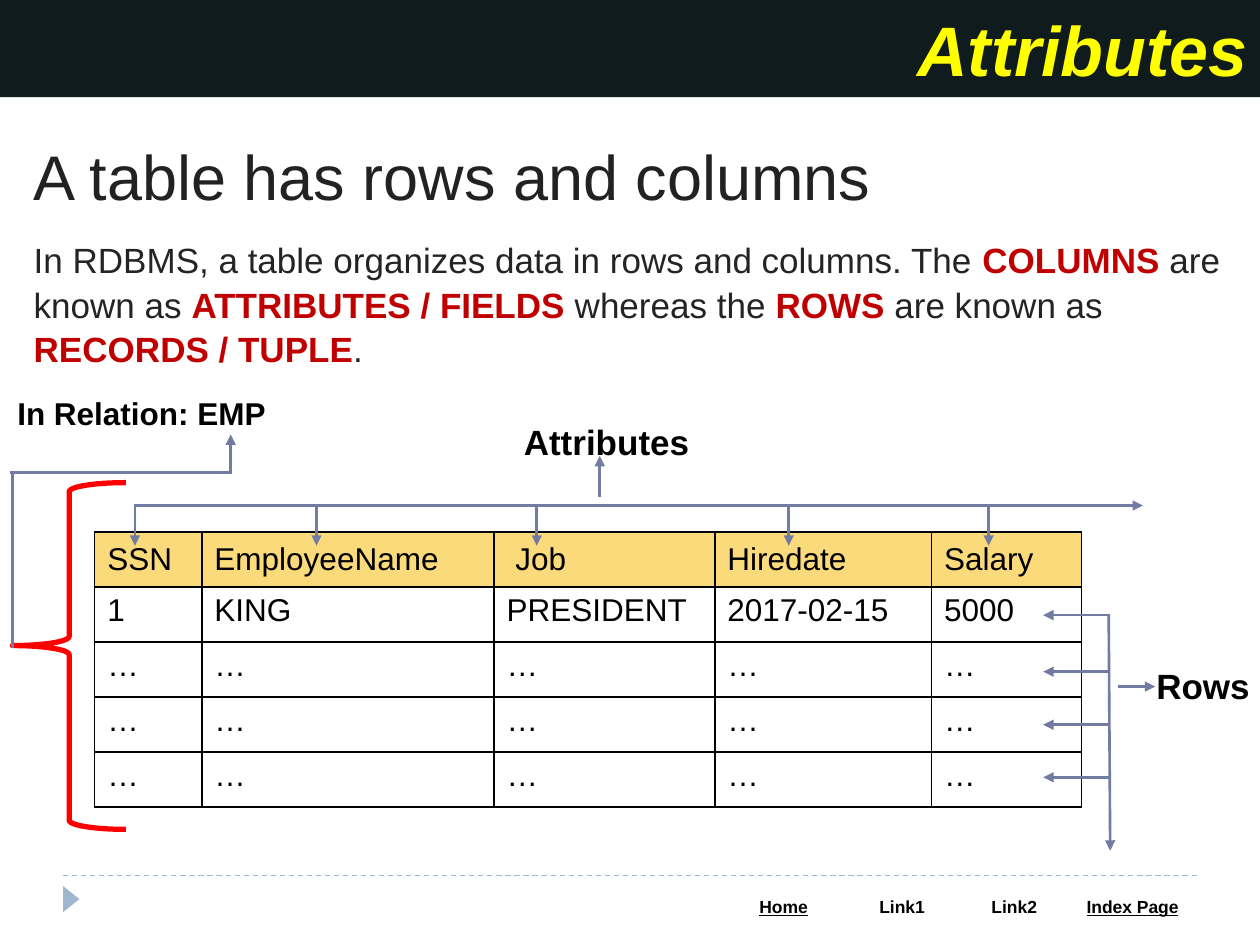
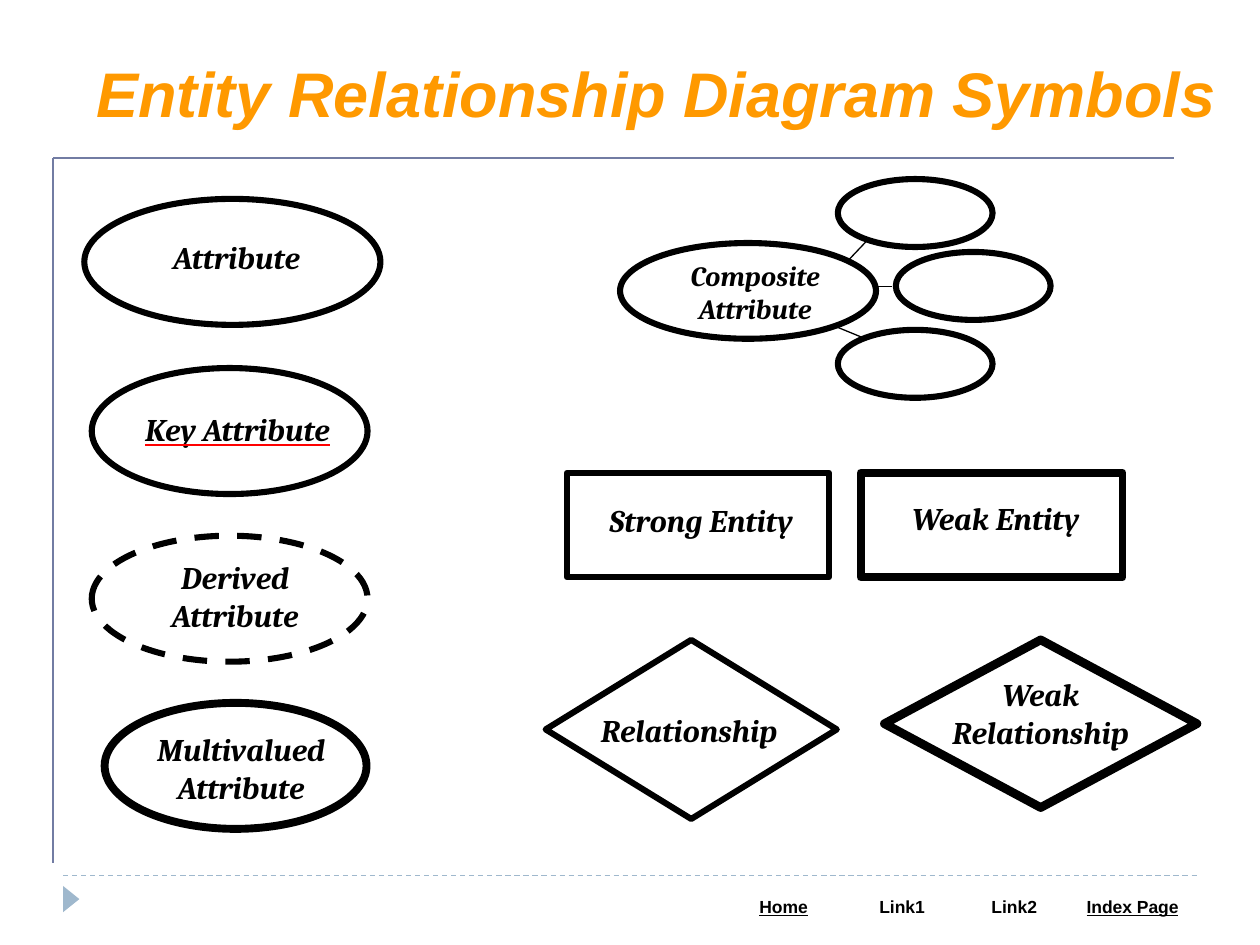
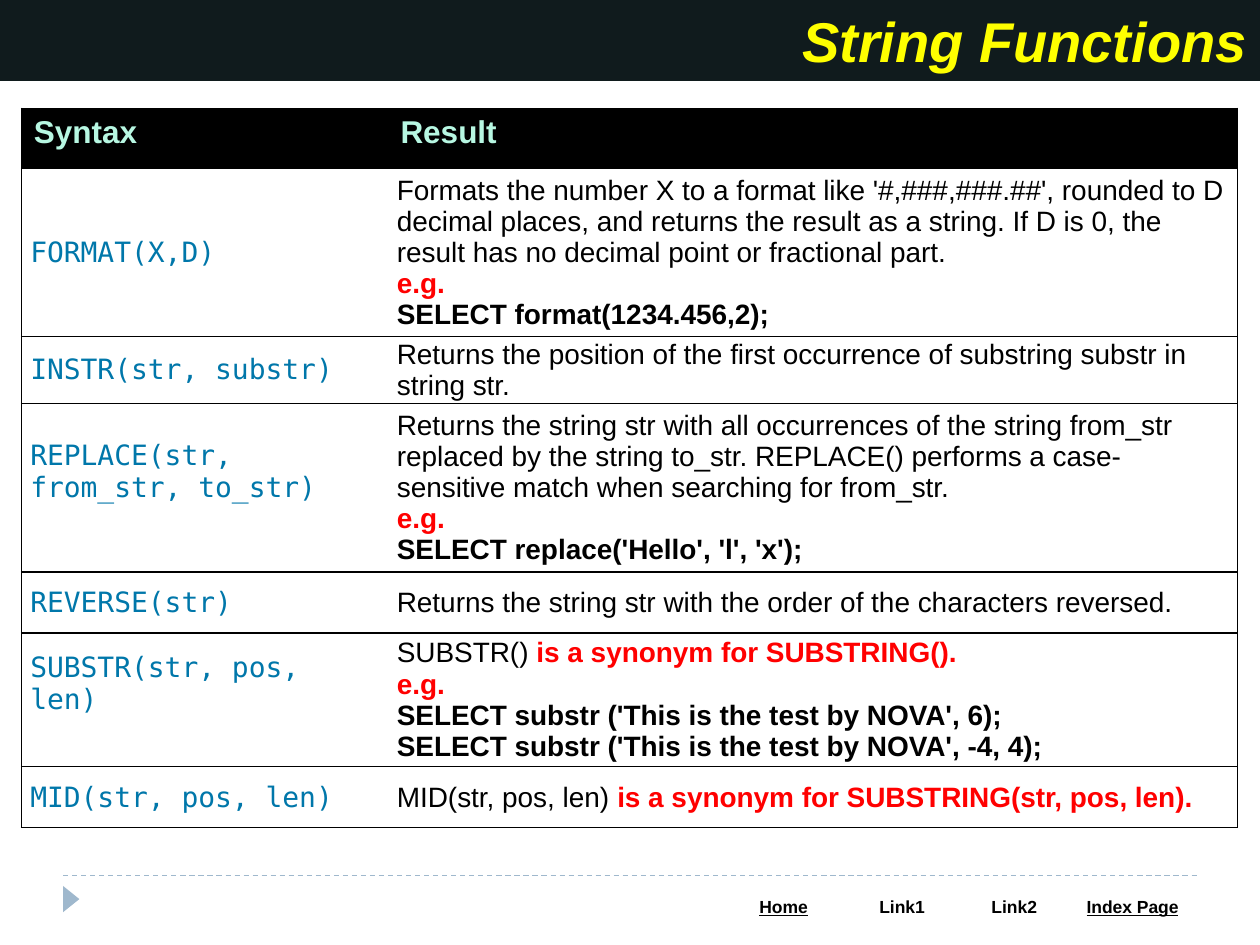
"""Build three slides on relational tables, ER symbols and string functions."""
from dataclasses import dataclass, replace
from typing import NamedTuple, Optional

from lxml import etree
from pptx import Presentation
from pptx import util as u
from pptx.dml.color import RGBColor
from pptx.enum import dml, shapes, text
from pptx.oxml.ns import qn

BLACK = RGBColor(0x00, 0x00, 0x00)
WHITE = RGBColor(0xFF, 0xFF, 0xFF)
RED = RGBColor(0xFF, 0x00, 0x00)
DARK_RED = RGBColor(0xC0, 0x00, 0x00)
YELLOW = RGBColor(0xFF, 0xFF, 0x00)
ORANGE = RGBColor(0xFF, 0x99, 0x00)
BAND = RGBColor(0x10, 0x1B, 0x1D)
HEADING = RGBColor(0x22, 0x22, 0x22)
BODY = RGBColor(0x22, 0x24, 0x26)
STEEL = RGBColor(0x72, 0x7C, 0xA3)
PALE_BLUE = RGBColor(0x9F, 0xB8, 0xCD)
GOLD = RGBColor(0xFA, 0xDA, 0x7A)
MINT = RGBColor(0xB7, 0xF7, 0xE2)
CODE_BLUE = RGBColor(0x00, 0x77, 0xAA)

LEFT, CENTER, RIGHT = text.PP_ALIGN.LEFT, text.PP_ALIGN.CENTER, text.PP_ALIGN.RIGHT
MIDDLE = text.MSO_ANCHOR.MIDDLE
ELLIPSE = shapes.MSO_SHAPE.OVAL
RECTANGLE = shapes.MSO_SHAPE.RECTANGLE
DECISION = shapes.MSO_SHAPE.FLOWCHART_DECISION
DASH = dml.MSO_LINE.DASH


class Box(NamedTuple):
    """Left, top, width and height in centimetres."""
    left: float
    top: float
    width: float
    height: float

    def lengths(self) -> list:
        """Return the four sides as lengths."""
        return [u.Cm(value) for value in self]


@dataclass(frozen=True)
class Style:
    """Look of a run of text."""
    size: float
    color: RGBColor = BLACK
    bold: bool = False
    italic: bool = False
    underline: Optional[RGBColor] = None
    font: str = "Arial"


class Run(NamedTuple):
    """A piece of text in one style."""
    words: str
    style: Style


class Stroke(NamedTuple):
    """A straight line in centimetres, with an optional arrowhead."""
    x1: float
    y1: float
    x2: float
    y2: float
    arrow: bool = True


@dataclass(frozen=True)
class Symbol:
    """An outlined diagram symbol and its separate label."""
    kind: int
    box: Box
    label: str = ""
    label_box: Optional[Box] = None
    width: float = 3.5
    dash: Optional[int] = None
    size: float = 18
    underline: Optional[RGBColor] = None


FOOTER = Style(10, bold=True)
BOLD_20 = Style(20, bold=True)
BODY_20 = Style(20, BODY)
KEY_20 = Style(20, DARK_RED, bold=True)
CELL_18 = Style(18)
PLAIN = Style(16)
STRONG = Style(16, bold=True)
ALERT = Style(16, RED, bold=True)
CODE = Style(16, CODE_BLUE, font="DejaVu Sans Mono")
EXAMPLE = [Run("e.g.", ALERT)]


def write(frame, paragraphs: list, align=LEFT, space_after: float = 0, spacing: float = 1) -> None:
    """Fill a text frame with paragraphs made of runs."""
    frame.word_wrap = True
    for index, runs in enumerate(paragraphs):
        paragraph = frame.paragraphs[0] if index == 0 else frame.add_paragraph()
        paragraph.alignment = align
        paragraph.space_after = u.Pt(space_after)
        paragraph.line_spacing = spacing
        for words, style in runs:
            run = paragraph.add_run()
            run.text = words
            font = run.font
            font.size, font.name = u.Pt(style.size), style.font
            font.bold, font.italic = style.bold, style.italic
            font.color.rgb = style.color
            if style.underline is not None:
                font.underline = True
                properties = run._r.get_or_add_rPr()
                line_fill = etree.Element(qn("a:uFill"))
                add_solid(line_fill, style.underline)
                properties.find(qn("a:latin")).addprevious(line_fill)


def add_solid(parent, color: RGBColor) -> None:
    """Append a solid fill to an XML element."""
    fill = etree.SubElement(parent, qn("a:solidFill"))
    etree.SubElement(fill, qn("a:srgbClr"), val=str(color))


def add_text(slide, box: Box, runs: list, **layout) -> None:
    """Place a text box with one paragraph."""
    write(slide.shapes.add_textbox(*box.lengths()).text_frame, [runs], **layout)


def add_shape(slide, kind: int, box: Box, fill: Optional[RGBColor] = None,
              line: Optional[RGBColor] = None, width: float = 1, dash: Optional[int] = None):
    """Place a preset shape without a shadow."""
    shape = slide.shapes.add_shape(kind, *box.lengths())
    shape.shadow.inherit = False
    if fill is None:
        shape.fill.background()
    else:
        shape.fill.solid()
        shape.fill.fore_color.rgb = fill
    if line is None:
        shape.line.fill.background()
    else:
        shape.line.color.rgb = line
        shape.line.width = u.Pt(width)
        shape.line.dash_style = dash
    return shape


def add_stroke(slide, stroke: Stroke, color: RGBColor = STEEL, width: float = 1.5,
               dash: Optional[int] = None) -> None:
    """Draw a straight connector."""
    ends = [u.Cm(value) for value in stroke[:4]]
    connector = slide.shapes.add_connector(shapes.MSO_CONNECTOR.STRAIGHT, *ends)
    connector.line.color.rgb = color
    connector.line.width = u.Pt(width)
    connector.line.dash_style = dash
    if stroke.arrow:
        etree.SubElement(connector.line._get_or_add_ln(), qn("a:tailEnd"), type="triangle")
    etree.SubElement(connector._element.spPr, qn("a:effectLst"))


def add_table(slide, left: float, top: float, columns: list, rows: list):
    """Place an unbanded table with the given column widths and row heights."""
    box = Box(left, top, sum(columns), sum(rows))
    table = slide.shapes.add_table(len(rows), len(columns), *box.lengths()).table
    table.first_row = table.horz_banding = False
    for column, width in zip(table.columns, columns):
        column.width = u.Cm(width)
    for row, height in zip(table.rows, rows):
        row.height = u.Cm(height)
    return table


def format_cell(cell, fill: Optional[RGBColor], sides: str, width: float = 1) -> None:
    """Fill a cell and draw borders on the named sides only."""
    if fill is None:
        cell.fill.background()
    else:
        cell.fill.solid()
        cell.fill.fore_color.rgb = fill
    properties = cell._tc.get_or_add_tcPr()
    for index, side in enumerate("LRTB"):
        line = etree.Element(qn(f"a:ln{side}"), w=str(u.Pt(width)))
        if side in sides:
            add_solid(line, BLACK)
        else:
            etree.SubElement(line, qn("a:noFill"))
        properties.insert(index, line)


def add_footer(slide) -> None:
    """Draw the dashed rule, the marker and the navigation row."""
    marker = add_shape(slide, shapes.MSO_SHAPE.ISOSCELES_TRIANGLE, Box(1.17, 17.96, 0.53, 0.33), PALE_BLUE)
    marker.rotation = 90
    add_stroke(slide, Stroke(1.27, 17.65, 24.13, 17.65, False), PALE_BLUE, 0.75, DASH)
    table = add_table(slide, 14.6, 17.98, [2.39, 2.39, 2.13, 2.64], [0.69])
    linked = replace(FOOTER, underline=BLACK)
    entries = [("Home", linked), ("Link1", FOOTER), ("Link2", FOOTER), ("Index Page", linked)]
    for cell, (words, style) in zip(table.rows[0].cells, entries):
        format_cell(cell, WHITE, "")
        write(cell.text_frame, [[Run(words, style)]], CENTER)


def add_band(slide, title: str, height: float, size: float) -> None:
    """Draw the dark title band."""
    band = add_shape(slide, RECTANGLE, Box(0, 0, 25.4, height), BAND)
    band.text_frame.vertical_anchor = MIDDLE
    write(band.text_frame, [[Run(title, Style(size, YELLOW, True, True))]], RIGHT)


def build_attributes(slide) -> None:
    """Show a table with its rows and columns marked."""
    add_text(slide, Box(0.43, 2.64, 24.56, 1.8), [Run("A table has rows and columns", Style(36, HEADING))])
    add_band(slide, "Attributes", 1.96, 40)
    add_text(slide, Box(0.43, 4.65, 24.56, 2.82), [
        Run("In RDBMS, a table organizes data in rows and columns. The ", BODY_20),
        Run("COLUMNS ", KEY_20),
        Run("are known as ", BODY_20),
        Run("ATTRIBUTES / FIELDS ", KEY_20),
        Run("whereas the ", BODY_20),
        Run("ROWS ", KEY_20),
        Run("are known as ", BODY_20),
        Run("RECORDS / TUPLE", KEY_20),
        Run(".", BODY_20),
    ], spacing=1.05)

    table = add_table(slide, 1.91, 10.72, [2.16, 5.89, 4.45, 4.37, 3.02], [1.11] * 5)
    records = [["SSN", "EmployeeName", " Job", "Hiredate", "Salary"],
               ["1", "KING", "PRESIDENT", "2017-02-15", "5000"]] + [["…"] * 5] * 3
    for index, (row, record) in enumerate(zip(table.rows, records)):
        for cell, words in zip(row.cells, record):
            format_cell(cell, GOLD if index == 0 else None, "LRTB")
            write(cell.text_frame, [[Run(words, CELL_18)]])
            if index == 0:
                cell.vertical_anchor = MIDDLE

    add_text(slide, Box(10.31, 8.36, 3.89, 1.12), [Run("Attributes", BOLD_20)])
    add_text(slide, Box(23.06, 13.28, 2.41, 1.12), [Run("Rows", BOLD_20)])
    add_text(slide, Box(0.1, 7.82, 5.56, 1.02), [Run("In Relation: EMP", Style(18, bold=True))])
    brace = add_shape(slide, shapes.MSO_SHAPE.LEFT_BRACE, Box(0.25, 9.73, 2.29, 6.99), line=RED, width=3)
    brace.adjustments[0], brace.adjustments[1] = 0.08, 0.47

    column_arrows = [Stroke(x, 10.16, x, 11) for x in (2.72, 6.38, 10.82, 15.9, 19.93)]
    row_arrows = [Stroke(22.38, y, 21.03, y) for y in (12.4, 13.54, 14.61, 15.67)]
    guides = [
        Stroke(12.09, 10.01, 12.09, 9.19),
        Stroke(2.72, 10.19, 23.04, 10.19),
        Stroke(22.53, 13.84, 23.29, 13.84),
        Stroke(22.35, 12.4, 22.38, 17.15),
        Stroke(0.25, 13.06, 0.25, 9.5, False),
        Stroke(4.65, 9.53, 0.2, 9.53, False),
        Stroke(4.65, 9.55, 4.65, 8.76),
    ]
    for stroke in column_arrows + row_arrows + guides:
        add_stroke(slide, stroke)


SYMBOLS = [
    Symbol(ELLIPSE, Box(2.11, 14.17, 5.28, 2.54), "Multivalued Attribute", Box(2.84, 14.6, 4.04, 1.8), 4.5),
    Symbol(ELLIPSE, Box(1.85, 10.8, 5.56, 2.54), "Derived Attribute", Box(2.9, 11.13, 3.68, 1.8), dash=DASH),
    Symbol(ELLIPSE, Box(12.5, 4.9, 5.16, 1.93), "Composite Attribute", Box(13.51, 5.08, 3.43, 1.63), size=16),
    Symbol(ELLIPSE, Box(18.06, 5.08, 3.12, 1.37)),
    Symbol(ELLIPSE, Box(16.89, 3.61, 3.12, 1.37)),
    Symbol(ELLIPSE, Box(16.89, 6.65, 3.12, 1.37)),
    Symbol(ELLIPSE, Box(1.85, 7.42, 5.56, 2.54), "Key Attribute", Box(2.49, 8.15, 4.6, 1.02), underline=RED),
    Symbol(ELLIPSE, Box(1.7, 4.01, 5.97, 2.54), "Attribute", Box(2.79, 4.67, 3.96, 1.12)),
    Symbol(RECTANGLE, Box(17.35, 9.53, 5.28, 2.11), "Weak Entity", Box(17.93, 9.93, 4.29, 1.02), 4.5),
    Symbol(RECTANGLE, Box(11.43, 9.53, 5.28, 2.11), "Strong Entity", Box(11.76, 9.98, 4.75, 1.02)),
    Symbol(DECISION, Box(11, 12.9, 5.87, 3.61), "Relationship", Box(11.33, 14.2, 5.13, 0.89)),
    Symbol(DECISION, Box(17.83, 12.9, 6.3, 3.38), "Weak Relationship", Box(18.29, 13.49, 5.38, 1.55), 5),
]


def build_symbols(slide) -> None:
    """Show the symbols of an entity relationship diagram."""
    add_text(slide, Box(0.64, 0.97, 24.13, 1.8),
             [Run("Entity Relationship Diagram Symbols", Style(36, ORANGE, True, True))], align=RIGHT)
    for symbol in SYMBOLS:
        add_shape(slide, symbol.kind, symbol.box, WHITE, BLACK, symbol.width, symbol.dash)
        if symbol.label_box is not None:
            style = Style(symbol.size, BLACK, True, True, symbol.underline, "Cambria")
            add_text(slide, symbol.label_box, [Run(symbol.label, style)], align=CENTER, space_after=10)
    for ends in ((17.07, 5.28, 17.45, 4.88), (17.63, 5.77, 17.98, 5.77), (17.45, 6.83, 16.89, 6.6)):
        add_stroke(slide, Stroke(*ends, False), BLACK, 0.75)
    for ends in ((1.07, 3.18, 1.07, 17.4), (1.07, 3.18, 23.67, 3.18)):
        add_stroke(slide, Stroke(*ends, False), width=1)


class Function(NamedTuple):
    """A row of the function table."""
    syntax: str
    result: list
    height: float
    lift: float = 0


FUNCTIONS = [
    Function("FORMAT(X,D)", [
        [Run("Formats the number X to a format like '#,###,###.##', rounded to D decimal places, and returns "
             "the result as a string. If D is 0, the result has no decimal point or fractional part.", PLAIN)],
        EXAMPLE,
        [Run("SELECT format(1234.456,2);", STRONG)]], 3.39),
    Function("INSTR(str, substr)", [
        [Run("Returns the position of the first occurrence of substring substr in string str.", PLAIN)]], 1.35),
    Function("REPLACE(str, from_str, to_str)", [
        [Run("Returns the string str with all occurrences of the string from_str replaced by the string to_str. "
             "REPLACE() performs a case-sensitive match when searching for from_str.", PLAIN)],
        EXAMPLE,
        [Run("SELECT replace('Hello', 'l', 'x');", STRONG)]], 3.39, 0.64),
    Function("REVERSE(str)", [
        [Run("Returns the string str with the order of the characters reversed.", PLAIN)]], 1.23),
    Function("SUBSTR(str, pos, len)", [
        [Run("SUBSTR() ", PLAIN), Run("is a synonym for SUBSTRING().", ALERT)],
        EXAMPLE,
        [Run("SELECT substr ('This is the test by NOVA', 6);", STRONG)],
        [Run("SELECT substr ('This is the test by NOVA', -4, 4);", STRONG)]], 2.7, 0.64),
    Function("MID(str, pos, len)", [
        [Run("MID(str, pos, len) ", PLAIN), Run("is a synonym for SUBSTRING(str, pos, len).", ALERT)]], 1.23),
]


def build_functions(slide) -> None:
    """List string functions with their results."""
    add_band(slide, "String Functions", 1.63, 32)
    heights = [1.22] + [function.height for function in FUNCTIONS]
    table = add_table(slide, 0.43, 2.18, [7.39, 17.12], heights)
    sides = ("LTB", "RTB")
    for cell, words, edges in zip(table.rows[0].cells, ("Syntax", "Result"), sides):
        format_cell(cell, BLACK, edges, 0.75)
        write(cell.text_frame, [[Run(words, Style(18, MINT, True))]])
    for index, function in enumerate(FUNCTIONS, start=1):
        contents = ([[Run(function.syntax, CODE)]], function.result)
        cells = [table.cell(index, column) for column in range(2)]
        for cell, paragraphs, edges in zip(cells, contents, sides):
            format_cell(cell, None, edges, 0.75)
            cell.vertical_anchor = MIDDLE
            cell.margin_left = cell.margin_right = u.Cm(0.18)
            cell.margin_top = cell.margin_bottom = 0
            write(cell.text_frame, paragraphs)
        cells[0].margin_bottom = u.Cm(function.lift)


def main() -> None:
    """Build and save the presentation."""
    presentation = Presentation()
    presentation.slide_width, presentation.slide_height = u.Cm(25.4), u.Cm(19.05)
    for build in (build_attributes, build_symbols, build_functions):
        slide = presentation.slides.add_slide(presentation.slide_layouts[6])
        add_footer(slide)
        build(slide)
    presentation.save("out.pptx")


if __name__ == "__main__":
    main()
